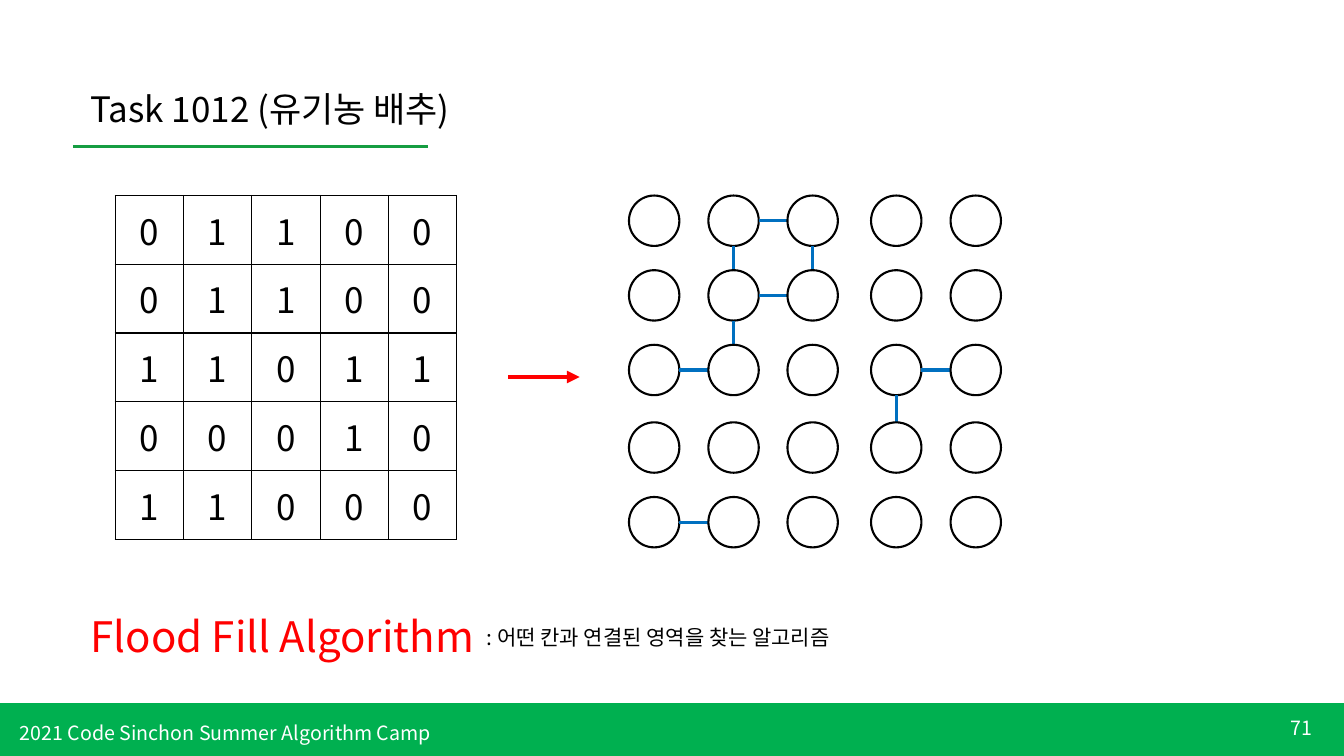
from dataclasses import dataclass

from lxml import etree
from pptx import Presentation
from pptx.dml.color import RGBColor
from pptx.enum.shapes import MSO_CONNECTOR, MSO_SHAPE
from pptx.enum.text import MSO_ANCHOR, MSO_AUTO_SIZE, PP_ALIGN
from pptx.oxml.ns import qn
from pptx.util import Pt

STRAIGHT = MSO_CONNECTOR.STRAIGHT
RECTANGLE = MSO_SHAPE.RECTANGLE
OVAL = MSO_SHAPE.OVAL
TOP, MIDDLE = MSO_ANCHOR.TOP, MSO_ANCHOR.MIDDLE
LEFT, CENTER, RIGHT = PP_ALIGN.LEFT, PP_ALIGN.CENTER, PP_ALIGN.RIGHT
NO_AUTO_SIZE = MSO_AUTO_SIZE.NONE

FIELD = [
    "01100",
    "01100",
    "11011",
    "00010",
    "11000",
]
NODE_LEFTS = [449.3, 506, 562.5, 622.2, 679]
NODE_TOPS = [139.7, 193, 246.3, 301.7, 355]
NODE_SIZE = 36


@dataclass(frozen=True)
class Theme:
    font: str = "Noto Sans CJK KR"
    black: str = "000000"
    white: str = "FFFFFF"
    red: str = "FF0000"
    blue: str = "0070C0"
    footer_green: str = "00B050"
    rule_green: str = "159D41"
    title_size: float = 25
    keyword_size: float = 30
    note_size: float = 15
    footer_size: float = 14


class SlideBuilder:
    def __init__(self, slide, theme):
        self.slide = slide
        self.theme = theme

    def format_text(self, text_frame, text, size, color, align=LEFT):
        text_frame.text = text
        paragraph = text_frame.paragraphs[0]
        paragraph.alignment = align
        font = paragraph.runs[0].font
        font.size = Pt(size)
        font.color.rgb = RGBColor.from_string(color)
        font.name = self.theme.font
        run_properties = paragraph.runs[0]._r.get_or_add_rPr()
        etree.SubElement(run_properties, qn("a:ea"), typeface=self.theme.font)

    def place_text(self, shape, text, box, size, color, align=LEFT, anchor=TOP):
        shape.left, shape.top, shape.width, shape.height = map(Pt, box)
        text_frame = shape.text_frame
        text_frame.word_wrap = True
        text_frame.auto_size = NO_AUTO_SIZE
        text_frame.vertical_anchor = anchor
        self.format_text(text_frame, text, size, color, align)

    def title(self, text, box):
        self.place_text(self.slide.shapes.title, text, box,
                        self.theme.title_size, self.theme.black)

    def text(self, text, box, size, color, align=LEFT, anchor=TOP):
        shape = self.slide.shapes.add_textbox(*map(Pt, box))
        self.place_text(shape, text, box, size, color, align, anchor)

    def shape(self, kind, box, fill, line, width):
        shape = self.slide.shapes.add_shape(kind, *map(Pt, box))
        shape.shadow.inherit = False
        shape.fill.solid()
        shape.fill.fore_color.rgb = RGBColor.from_string(fill)
        shape.line.color.rgb = RGBColor.from_string(line)
        shape.line.width = Pt(width)

    def line(self, start, end, color, width=2.25, arrow=False):
        connector = self.slide.shapes.add_connector(
            STRAIGHT, *map(Pt, (*start, *end)))
        connector.line.color.rgb = RGBColor.from_string(color)
        connector.line.width = Pt(width)
        if arrow:
            etree.SubElement(connector.line._get_or_add_ln(),
                             qn("a:tailEnd"), type="triangle")
        etree.SubElement(connector._element.spPr, qn("a:effectLst"))

    def border_cell(self, cell):
        properties = cell._tc.get_or_add_tcPr()
        for position, side in enumerate(("lnL", "lnR", "lnT", "lnB")):
            border = etree.Element(qn(f"a:{side}"), w=str(Pt(1)))
            fill = etree.SubElement(border, qn("a:solidFill"))
            etree.SubElement(fill, qn("a:srgbClr"), val=self.theme.black)
            properties.insert(position, border)

    def table(self, rows, left, top, column_width, row_height):
        row_count, column_count = len(rows), len(rows[0])
        table = self.slide.shapes.add_table(
            row_count, column_count, Pt(left), Pt(top),
            Pt(column_width * column_count), Pt(row_height * row_count)).table
        table.first_row = False
        table.horz_banding = False
        for column in table.columns:
            column.width = Pt(column_width)
        for row, values in zip(table.rows, rows):
            row.height = Pt(row_height)
            for cell, value in zip(row.cells, values):
                cell.fill.background()
                cell.vertical_anchor = MIDDLE
                cell.margin_left = cell.margin_right = Pt(12)
                cell.margin_top = cell.margin_bottom = Pt(5.8)
                self.format_text(cell.text_frame, value, self.theme.title_size,
                                 self.theme.black, CENTER)
                self.border_cell(cell)

    def graph(self, rows, lefts, tops, size):
        radius = size / 2
        for row, top in enumerate(tops):
            for column, left in enumerate(lefts):
                self.shape(OVAL, (left, top, size, size),
                           self.theme.white, self.theme.black, 1.5)
                if rows[row][column] == "0":
                    continue
                if rows[row][column + 1:column + 2] == "1":
                    middle = top + radius
                    self.line((left + size, middle),
                              (lefts[column + 1], middle), self.theme.blue)
                if row + 1 < len(rows) and rows[row + 1][column] == "1":
                    center = left + radius
                    self.line((center, top + size),
                              (center, tops[row + 1]), self.theme.blue)


def main():
    presentation = Presentation()
    presentation.slide_width = Pt(960)
    presentation.slide_height = Pt(540)
    theme = Theme()
    slide = presentation.slides.add_slide(presentation.slide_layouts[5])
    builder = SlideBuilder(slide, theme)

    builder.shape(RECTANGLE, (0, 502.5, 960, 37.5),
                  theme.footer_green, theme.footer_green, 1)
    builder.text("71", (872.6, 505.4, 72, 28.8), theme.footer_size,
                 theme.white, RIGHT, MIDDLE)
    builder.text("2021 Code Sinchon Summer Algorithm Camp",
                 (7.2, 511.2, 414.7, 24.5), theme.footer_size, theme.white)

    builder.title("Task 1012 (유기농 배추)", (57.6, 59, 320, 37.4))
    builder.line((52, 104.4), (306, 104.4), theme.rule_green)

    builder.table(FIELD, 82.3, 139.7, 48.8, 49.1)
    builder.line((363, 269.3), (414, 269.3), theme.red, 3, arrow=True)
    builder.graph(FIELD, NODE_LEFTS, NODE_TOPS, NODE_SIZE)

    builder.text("Flood Fill Algorithm", (57.6, 432.7, 296.6, 43.9),
                 theme.keyword_size, theme.red)
    builder.text(": 어떤 칸과 연결된 영역을 찾는 알고리즘",
                 (340.6, 442.8, 347.8, 25.2), theme.note_size, theme.black)

    presentation.save("out.pptx")


if __name__ == "__main__":
    main()
